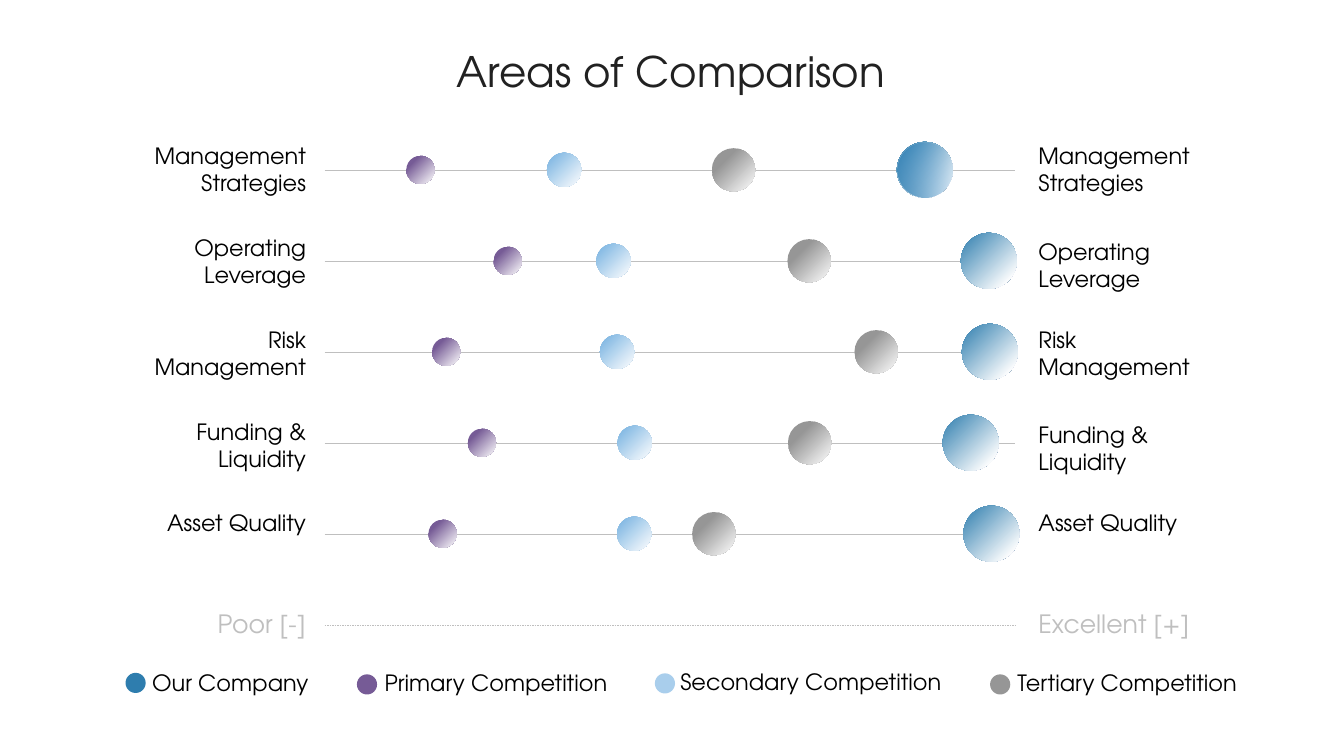
import pptx
import pptx.dml.color
import pptx.enum.dml
import pptx.enum.shapes
import pptx.enum.text
import pptx.oxml
import pptx.oxml.ns
import pptx.util
from pptx.util import Inches

ALIGN = pptx.enum.text.PP_ALIGN
OVAL = pptx.enum.shapes.MSO_SHAPE.OVAL
RGB = pptx.dml.color.RGBColor.from_string
qn = pptx.oxml.ns.qn
NS = pptx.oxml.ns.nsdecls("a")

C = {"white": "FFFFFF", "text": "000000", "title": "212121", "line": "BFBFBF",
     "blue": "2E7DAE", "bright": "2D85CB", "purple": "765B96",
     "sky": "7EB6E2", "light": "A9CEEC", "gray": "969696"}

prs = pptx.Presentation()
prs.slide_width, prs.slide_height = Inches(26.66), Inches(15)
s = prs.slides.add_slide(prs.slide_layouts[6])


def add_text(text, x, y, w, h, size=32, color="text", align=ALIGN.LEFT, inset=(0.1, 0.05)):
    tf = s.shapes.add_textbox(Inches(x), Inches(y), Inches(w), Inches(h)).text_frame
    dx, dy = map(Inches, inset)
    frame = {"word_wrap": True, "auto_size": pptx.enum.text.MSO_AUTO_SIZE.SHAPE_TO_FIT_TEXT,
             "margin_left": dx, "margin_right": dx, "margin_top": dy, "margin_bottom": dy}
    for key, value in frame.items():
        setattr(tf, key, value)
    p = tf.paragraphs[0]
    p.alignment = align
    r = p.add_run()
    r.text = text
    for key, value in {"name": "TeX Gyre Adventor", "size": pptx.util.Pt(size)}.items():
        setattr(r.font, key, value)
    r.font.color.rgb = RGB(C[color])
    return p


def add_circle(x, y, d, *stops):
    sp = s.shapes.add_shape(OVAL, Inches(x), Inches(y), Inches(d), Inches(d))
    sp.shadow.inherit = False
    sp.line.fill.background()
    if len(stops) == 1:
        sp.fill.solid()
        sp.fill.fore_color.rgb = RGB(C[stops[0]])
    else:
        sp.fill.gradient()
        for stop, (position, color) in zip(sp.fill.gradient_stops, stops):
            stop.position = position
            stop.color.rgb = RGB(C[color])
    return sp


series = {
    "secondary": (0.68, (0, "white"), (0.92, "sky")),
    "tertiary": (0.86, (0, "white"), (0.71, "gray")),
    "ours": (1.11, (0.13, "white"), (1, "blue")),
    "primary": (0.56, (0, "white"), (0.77, "purple")),
}
rows = [
    ("Management Strategies", 2.78, (10.85, 14.12, 17.79, 8.06)),
    ("Operating Leverage", 4.67, (11.83, 15.62, 19.06, 9.79)),
    ("Risk Management", 6.42, (11.9, 16.95, 19.08, 8.57)),
    ("Funding & Liquidity", 8.31, (12.25, 15.63, 18.7, 9.28)),
    ("Asset Quality", 10.06, (12.24, 13.73, 19.11, 8.5)),
]
row_ys = [3.37 + 1.805 * i for i in range(len(rows))]
scale_y = 12.4

for y in row_ys + [scale_y]:
    line = s.shapes.add_connector(pptx.enum.shapes.MSO_CONNECTOR.STRAIGHT,
                                  Inches(6.44), Inches(y), Inches(20.14), Inches(y))
    line.line.color.rgb = RGB(C["line"])
    line.line.width = pptx.util.Pt(0.5)
    line._element.spPr.append(pptx.oxml.parse_xml(f"<a:effectLst {NS}/>"))
    if y == scale_y:
        line.line.dash_style = pptx.enum.dml.MSO_LINE.DASH

for i, (label, right_y, xs) in enumerate(rows):
    for x, (d, *stops) in zip(xs, series.values()):
        sp = add_circle(x, row_ys[i] - d / 2, d, *stops)
        grad = sp._element.spPr.find(qn("a:gradFill"))
        grad.replace(grad.find(qn("a:lin")), pptx.oxml.parse_xml(
            f'<a:path {NS} path="circle"><a:fillToRect l="100000" t="100000"/></a:path>'))
    wide = "Management" in label
    h = 0.64 if label == "Asset Quality" else 1.18
    left_w = 3.51 if wide else 3.29
    add_text(label, 20.5, right_y, 3.73 if wide else 3.29, h)
    add_text(label, 6.17 - left_w, 2.78 + 1.82 * i, left_w, h, align=ALIGN.RIGHT)

add_text("Excellent [+]", 20.5, 12.03, 3.29, 0.71, 36, "line")
add_text("Poor [-]", 4.09, 12.03, 2.07, 0.71, 36, "line", ALIGN.RIGHT)

legend = [
    ("Our Company", 2.28, 13.17, 4.58, 2.49, 13.35, "blue"),
    ("Primary Competition", 7.18, 13.18, 5.32, 7.08, 13.38, "purple"),
    ("Secondary Competition", 13.29, 13.16, 5.59, 12.99, 13.36, "light"),
    ("Tertiary Competition", 19.26, 13.18, 6.2, 19.64, 13.38, "gray"),
]
for name, x, y, w, dot_x, dot_y, color in legend:
    add_text(name, x, y, w, 0.74, align=ALIGN.CENTER, inset=(0.2, 0.1))
    add_circle(dot_x, dot_y, 0.4, color)

p = add_text("Areas of Comparison", 4.35, 0.93, 17.91, 1.07, 60, "title", ALIGN.CENTER)
p.line_spacing = 0.95

glow = add_circle(17.8, 2.82, 1.1, (0, "bright"), (1, "blue"))
glow.rotation = 60
glow.fill.gradient_angle = 270
for color, alpha in zip(glow._element.spPr.iter(qn("a:srgbClr")), (0, 78000)):
    color.append(pptx.oxml.parse_xml(f'<a:alpha {NS} val="{alpha}"/>'))

prs.save("out.pptx")
